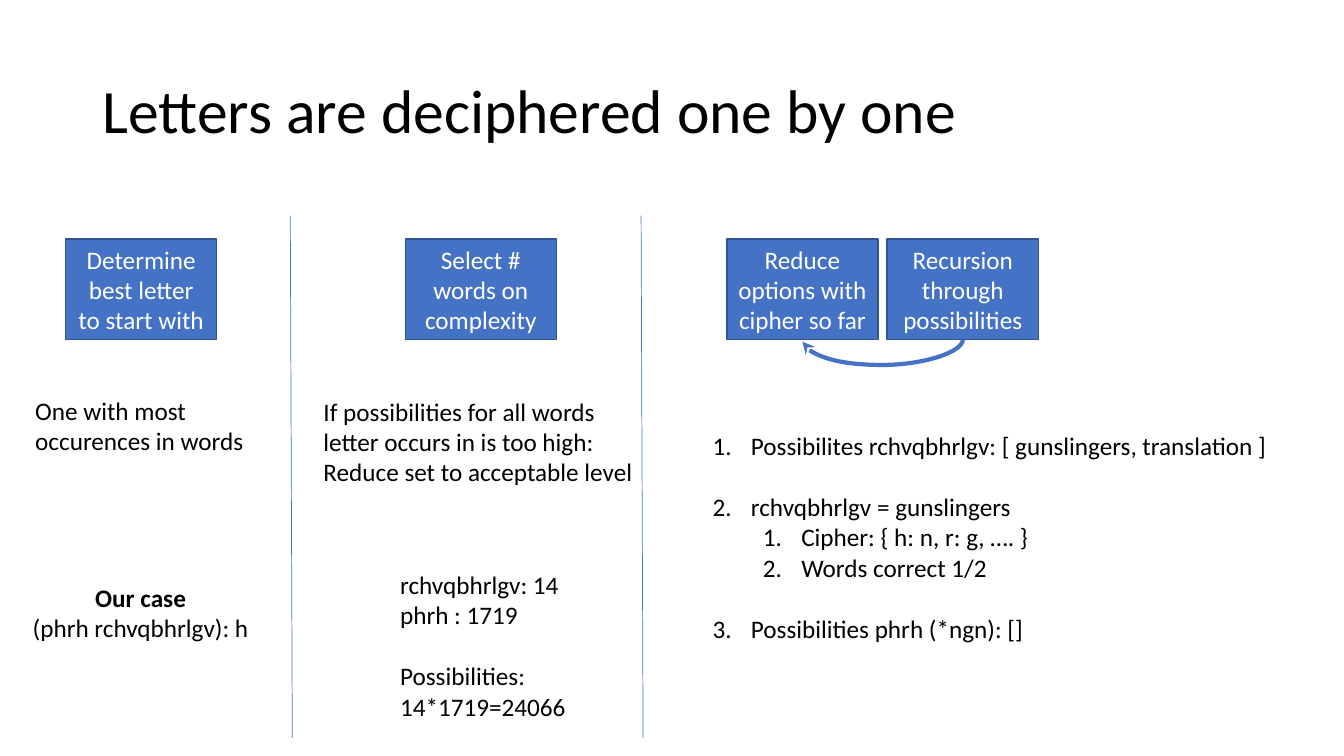
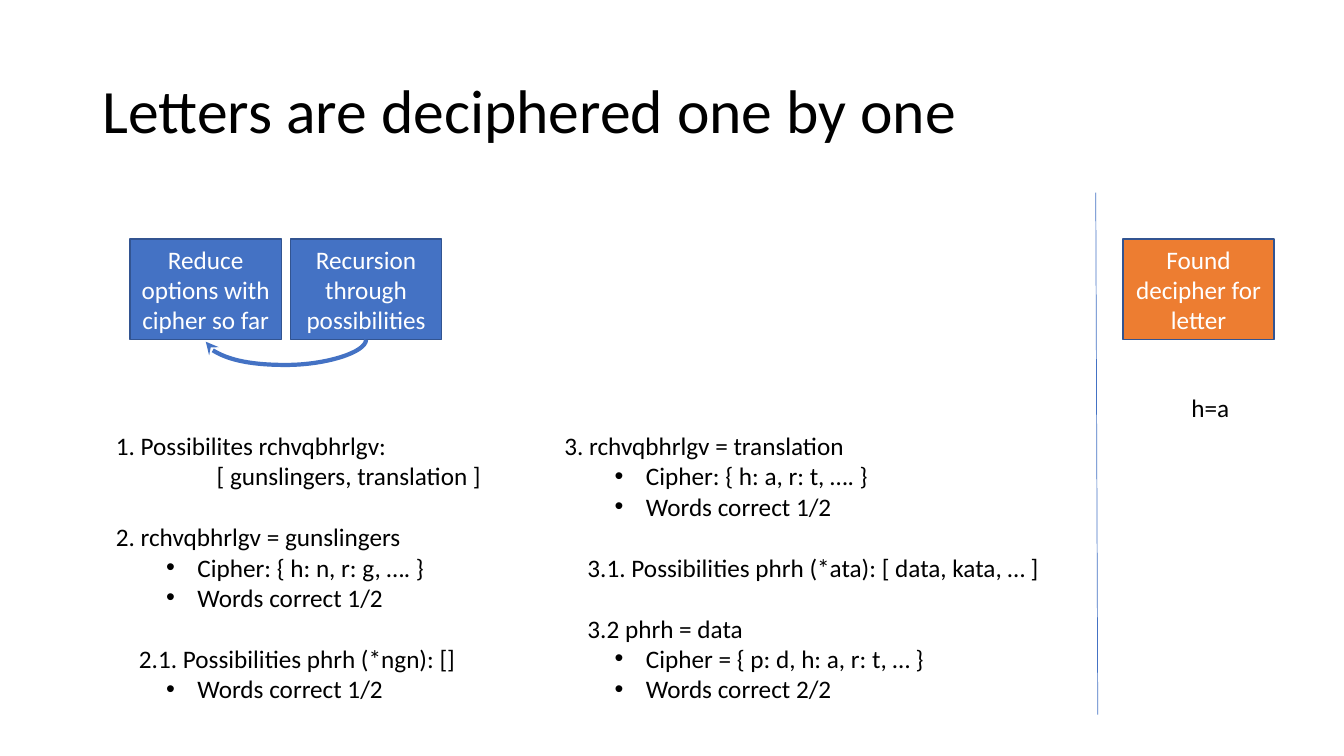
import dataclasses

import lxml.etree
import pptx
import pptx.dml.color
import pptx.enum.shapes
import pptx.enum.text
import pptx.oxml.ns
import pptx.util

# Shared look
BLACK = pptx.dml.color.RGBColor(0x00, 0x00, 0x00)
WHITE = pptx.dml.color.RGBColor(0xFF, 0xFF, 0xFF)
BLUE = pptx.dml.color.RGBColor(0x44, 0x72, 0xC4)
DARK_BLUE = pptx.dml.color.RGBColor(0x32, 0x54, 0x91)
ORANGE = pptx.dml.color.RGBColor(0xED, 0x7D, 0x31)
FONT = "Calibri"
TITLE = "Letters are deciphered one by one"
TITLE_SIZE, BODY_SIZE, LINE_PITCH = 44, 18, 22
ALIGN = pptx.enum.text.PP_ALIGN

# Grid, in percent of the slide's width and height
SLIDE_WIDTH = pptx.util.Inches(13.33)
SLIDE_HEIGHT = pptx.util.Inches(7.5)
BOX_TOP, BOX_WIDTH, BOX_HEIGHT = 31.6, 11.25, 13.33
BOX_STEP = 11.93
LIST_TOP = 56.27
DIVIDER_HEIGHT, DIVIDER_LEAN = 69.07, 0.15

# Loop arrow: rise between its ends, and depth as a multiple of that rise
LOOP_RISE = pptx.util.Inches(0.02)
LOOP_DEPTH = 12.5

# Paragraph kinds: level, left margin, first-line indent (inches), marker
KINDS = {
    "plain": (0, 0, 0, None),
    "step": (0, 0.23, 0, None),
    "continued": (0, 1, 0, None),
    "number": (0, 0.38, -0.38, "number"),
    "subnumber": (1, 0.88, -0.38, "number"),
    "bullet": (1, 0.81, -0.31, "bullet"),
}


@dataclasses.dataclass
class Line:
    text: str
    kind: str = "plain"
    gap: bool = False
    bold: bool = False


def across(percent):
    return round(SLIDE_WIDTH * percent / 100)


def down(percent):
    return round(SLIDE_HEIGHT * percent / 100)


def add_child(parent, tag, **attributes):
    child = lxml.etree.SubElement(parent, pptx.oxml.ns.qn(tag))
    for name, value in attributes.items():
        child.set(name, value)
    return child


def add_span(para, text, size=BODY_SIZE, color=BLACK, bold=False):
    span = para.add_run()
    span.text = text
    span.font.name = FONT
    span.font.size = pptx.util.Pt(size)
    span.font.bold = bold
    span.font.color.rgb = color


def set_kind(para, kind):
    level, margin, indent, marker = KINDS[kind]
    para.level = level
    properties = para._p.get_or_add_pPr()
    properties.set("marL", str(pptx.util.Inches(margin)))
    properties.set("indent", str(pptx.util.Inches(indent)))
    if marker == "number":
        add_child(properties, "a:buFont", typeface="+mj-lt")
        add_child(properties, "a:buAutoNum", type="arabicPeriod")
    elif marker == "bullet":
        add_child(properties, "a:buFont", typeface="Arial")
        add_child(properties, "a:buChar", char="•")


def add_title(page):
    box = page.shapes.add_textbox(across(6.9), down(5.33), across(86.25), down(19.33))
    frame = box.text_frame
    frame.word_wrap = True
    frame.vertical_anchor = pptx.enum.text.MSO_ANCHOR.MIDDLE
    frame.paragraphs[0].line_spacing = 0.9
    add_span(frame.paragraphs[0], TITLE, TITLE_SIZE)


def add_step_box(page, left, text, fill=BLUE):
    box = page.shapes.add_shape(
        pptx.enum.shapes.MSO_SHAPE.RECTANGLE,
        across(left), down(BOX_TOP), across(BOX_WIDTH), down(BOX_HEIGHT))
    box.shadow.inherit = False
    box.fill.solid()
    box.fill.fore_color.rgb = fill
    box.line.color.rgb = DARK_BLUE
    box.line.width = pptx.util.Pt(1)
    frame = box.text_frame
    frame.word_wrap = True
    frame.vertical_anchor = pptx.enum.text.MSO_ANCHOR.MIDDLE
    frame.paragraphs[0].alignment = ALIGN.CENTER
    add_span(frame.paragraphs[0], text, color=WHITE)
    return box


def add_note(page, left, top, width, lines, align=ALIGN.LEFT):
    rows = len(lines) + sum(line.gap for line in lines)
    height = pptx.util.Inches(0.1) + pptx.util.Pt(LINE_PITCH * rows)
    box = page.shapes.add_textbox(across(left), down(top), across(width), height)
    frame = box.text_frame
    frame.word_wrap = False
    frame.auto_size = pptx.enum.text.MSO_AUTO_SIZE.SHAPE_TO_FIT_TEXT
    for index, line in enumerate(lines):
        para = frame.add_paragraph() if index else frame.paragraphs[0]
        para.alignment = align
        if line.gap:
            para.space_before = pptx.util.Pt(LINE_PITCH)
        set_kind(para, line.kind)
        add_span(para, line.text, bold=line.bold)


def add_line(page, kind, start_x, start_y, end_x, end_y, weight):
    line = page.shapes.add_connector(kind, start_x, start_y, end_x, end_y)
    line.line.color.rgb = BLUE
    line.line.width = pptx.util.Pt(weight)
    add_child(line._element.spPr, "a:effectLst")
    return line


def add_divider(page, left, top):
    add_line(page, pptx.enum.shapes.MSO_CONNECTOR.STRAIGHT,
             across(left), down(top),
             across(left + DIVIDER_LEAN), down(top + DIVIDER_HEIGHT), 0.5)


def add_loop_arrow(page, source, target):
    """Curve below two boxes, laid out upright and then turned a quarter."""
    span = source.left - target.left
    middle_x = target.left + (target.width + span) // 2
    middle_y = source.top + source.height + LOOP_RISE // 2
    arrow = add_line(page, pptx.enum.shapes.MSO_CONNECTOR.CURVE,
                     middle_x - LOOP_RISE // 2, middle_y - span // 2,
                     middle_x + LOOP_RISE // 2, middle_y + span // 2, 3)
    properties = arrow._element.spPr
    properties.find(pptx.oxml.ns.qn("a:xfrm")).set("rot", str(90 * 60000))
    geometry = properties.find(pptx.oxml.ns.qn("a:prstGeom"))
    guides = geometry.find(pptx.oxml.ns.qn("a:avLst"))
    if guides is None:
        guides = add_child(geometry, "a:avLst")
    add_child(guides, "a:gd", name="adj1", fmla=f"val {round(LOOP_DEPTH * 100000)}")
    outline = properties.find(pptx.oxml.ns.qn("a:ln"))
    add_child(outline, "a:tailEnd", type="stealth")


def add_recursion_loop(page, left):
    recursion = add_step_box(page, left + BOX_STEP, "Recursion through possibilities")
    reduction = add_step_box(page, left, "Reduce options with cipher so far")
    add_loop_arrow(page, recursion, reduction)


def add_page(deck):
    page = deck.slides.add_slide(deck.slide_layouts[6])
    add_title(page)
    return page


def build_method_page(deck):
    page = add_page(deck)

    # Choice of the first letter
    add_step_box(page, 4.88, "Determine best letter to start with")
    add_note(page, 1.88, 51.6, 17.18, [
        Line("One with most"),
        Line("occurences in words"),
    ])
    add_note(page, 1.35, 76.4, 18.22, [
        Line("Our case", bold=True),
        Line("(phrh rchvqbhrlgv): h"),
    ], ALIGN.CENTER)

    # Choice of the words
    add_step_box(page, 30.15, "Select # words on complexity")
    add_note(page, 23.33, 51.73, 24.83, [
        Line("If possibilities for all words"),
        Line("letter occurs in is too high:"),
        Line("Reduce set to acceptable level"),
    ])
    add_note(page, 29.03, 74.67, 13.95, [
        Line("rchvqbhrlgv: 14"),
        Line("phrh : 1719"),
        Line("Possibilities:", gap=True),
        Line("14*1719=24066"),
    ])

    # Recursion
    add_recursion_loop(page, 54.08)
    add_note(page, 52.28, LIST_TOP, 43.13, [
        Line("Possibilites rchvqbhrlgv: [ gunslingers, translation ]", "number"),
        Line("rchvqbhrlgv = gunslingers", "number", gap=True),
        Line("Cipher: { h: n, r: g, …. }", "subnumber"),
        Line("Words correct 1/2", "subnumber"),
        Line("Possibilities phrh (*ngn): []", "number", gap=True),
    ])

    for left in (21.6, 47.7):
        add_divider(page, left, 28.53)


def build_result_page(deck):
    page = add_page(deck)

    # Recursion, first and second attempt
    add_recursion_loop(page, 9.68)
    add_note(page, 7.88, LIST_TOP, 28.95, [
        Line("1. Possibilites rchvqbhrlgv:"),
        Line("[ gunslingers, translation ]", "continued"),
        Line("2. rchvqbhrlgv = gunslingers", gap=True),
        Line("Cipher: { h: n, r: g, …. }", "bullet"),
        Line("Words correct 1/2", "bullet"),
        Line("2.1. Possibilities phrh (*ngn): []", "step", gap=True),
        Line("Words correct 1/2", "bullet"),
    ])
    add_note(page, 41.25, LIST_TOP, 37.13, [
        Line("3. rchvqbhrlgv = translation"),
        Line("Cipher: { h: a, r: t, …. }", "bullet"),
        Line("Words correct 1/2", "bullet"),
        Line("3.1. Possibilities phrh (*ata): [ data, kata, … ]", "step", gap=True),
        Line("3.2 phrh = data", "step", gap=True),
        Line("Cipher = { p: d, h: a, r: t, … }", "bullet"),
        Line("Words correct 2/2", "bullet"),
    ])

    # Result
    add_divider(page, 81.53, 25.47)
    add_step_box(page, 83.55, "Found decipher for letter", ORANGE)
    add_note(page, 87.9, 51.2, 4.35, [Line("h=a")])


def main():
    deck = pptx.Presentation()
    deck.slide_width = SLIDE_WIDTH
    deck.slide_height = SLIDE_HEIGHT
    build_method_page(deck)
    build_result_page(deck)
    deck.save("out.pptx")


if __name__ == "__main__":
    main()
